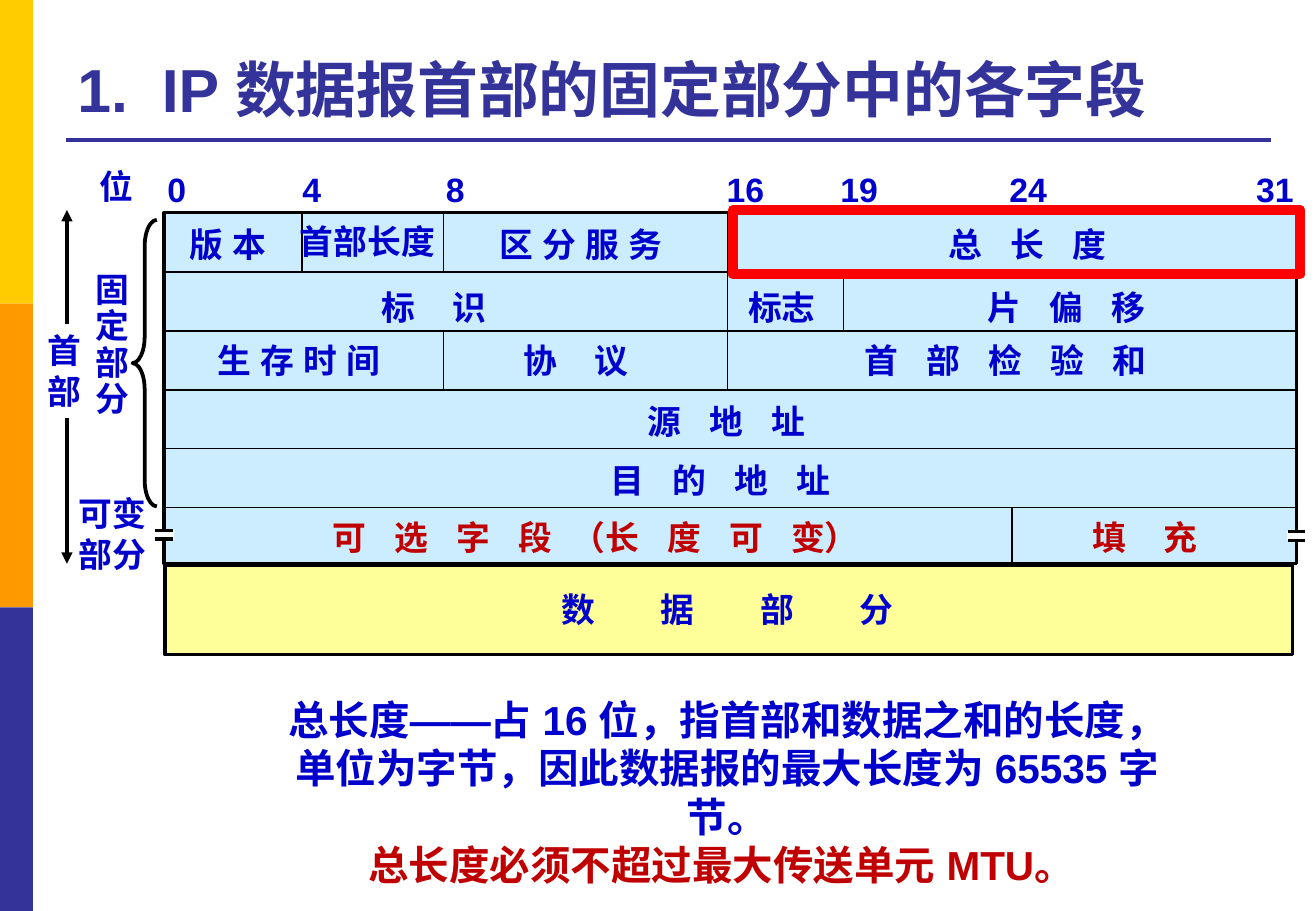
from dataclasses import dataclass

from lxml import etree
from pptx import Presentation
from pptx.dml.color import RGBColor
from pptx.enum.shapes import MSO_CONNECTOR, MSO_SHAPE
from pptx.enum.text import MSO_ANCHOR, PP_ALIGN
from pptx.oxml.ns import qn
from pptx.util import Cm, Pt

RECTANGLE = MSO_SHAPE.RECTANGLE
LEFT_BRACE = MSO_SHAPE.LEFT_BRACE
STRAIGHT = MSO_CONNECTOR.STRAIGHT
TOP, BOTTOM = MSO_ANCHOR.TOP, MSO_ANCHOR.BOTTOM
LEFT, CENTER = PP_ALIGN.LEFT, PP_ALIGN.CENTER

FONT = "Arial"
BLUE, RED, NAVY = "0000CC", "C00000", "333399"
BLACK, WHITE = "000000", "FFFFFF"
HEADER_TOP, ROW_HEIGHT = 4.46, 1.23
GAP, WIDE_GAP, DATA_GAP = 5.56, 8.34, 16.7


@dataclass
class Run:
    text: str
    color: str = BLUE
    spacing: float = 0


@dataclass
class Label:
    x: float
    y: float
    width: float
    height: float
    paragraphs: list[list[Run]]
    size: float = 20
    line_spacing: float = 1
    wrap: bool = False
    align: PP_ALIGN = LEFT
    anchor: MSO_ANCHOR = TOP


@dataclass
class Box:
    x: float
    y: float
    width: float
    height: float
    fill: str | None = None
    line: str | None = None
    weight: float = 0
    kind: MSO_SHAPE = RECTANGLE


@dataclass
class Line:
    x1: float
    y1: float
    x2: float
    y2: float
    weight: float = 1
    color: str = BLACK
    arrows: bool = False


def rgb(value: str) -> RGBColor:
    return RGBColor.from_string(value)


def row_edge(row: int) -> float:
    return round(HEADER_TOP + row * ROW_HEIGHT, 2)


def spread(text: str, spacing: float = 0, color: str = BLUE) -> list[Run]:
    if not spacing:
        return [Run(text, color)]
    return [Run(text[:-1], color, spacing), Run(text[-1], color)]


def field(x: float, y: float, width: float, runs: list[Run]) -> Label:
    return Label(x, y, width, 1.09, [runs])


def add_label(slide, label: Label) -> None:
    shape = slide.shapes.add_textbox(Cm(label.x), Cm(label.y), Cm(label.width), Cm(label.height))
    frame = shape.text_frame
    frame.word_wrap = label.wrap
    frame.vertical_anchor = label.anchor
    for index, runs in enumerate(label.paragraphs):
        paragraph = frame.add_paragraph() if index else frame.paragraphs[0]
        paragraph.alignment = label.align
        paragraph.line_spacing = label.line_spacing
        for item in runs:
            run = paragraph.add_run()
            run.text = item.text
            run.font.name = FONT
            run.font.size = Pt(label.size)
            run.font.bold = True
            run.font.color.rgb = rgb(item.color)
            properties = run.font._element
            etree.SubElement(properties, qn("a:ea"), typeface=FONT)
            if item.spacing:
                properties.set("spc", str(round(item.spacing * 100)))


def add_box(slide, box: Box):
    shape = slide.shapes.add_shape(box.kind, Cm(box.x), Cm(box.y), Cm(box.width), Cm(box.height))
    shape.shadow.inherit = False
    if box.fill:
        shape.fill.solid()
        shape.fill.fore_color.rgb = rgb(box.fill)
    else:
        shape.fill.background()
    if box.line:
        shape.line.color.rgb = rgb(box.line)
        shape.line.width = Pt(box.weight)
    else:
        shape.line.fill.background()
    return shape


def add_line(slide, line: Line) -> None:
    connector = slide.shapes.add_connector(STRAIGHT, Cm(line.x1), Cm(line.y1), Cm(line.x2), Cm(line.y2))
    connector.line.color.rgb = rgb(line.color)
    connector.line.width = Pt(line.weight)
    if line.arrows:
        outline = connector.line._get_or_add_ln()
        for end in ("a:headEnd", "a:tailEnd"):
            etree.SubElement(outline, qn(end), type="triangle")
    etree.SubElement(connector._element.spPr, qn("a:effectLst"))


def add_break_mark(slide, x: float, y: float) -> None:
    add_box(slide, Box(x, y, 0.41, 0.2, WHITE))
    for offset in (0.02, 0.2):
        add_line(slide, Line(x + 0.02, y + offset, x + 0.38, y + offset, 2))


BAND_COLORS = ["FFCC00", "FF9900", NAVY]
DIVIDERS = [(6.32, 0, 1), (9.27, 0, 1), (9.27, 2, 3), (15.21, 0, 3), (17.63, 1, 2), (21.16, 5, 6)]
BIT_POSITIONS = {"0": 3.25, "4": 6.07, "8": 9.07, "16": 14.94, "19": 17.32, "24": 20.85, "31": 26.01}
OPTIONS = [
    Run("可 选 字 段", RED, GAP),
    Run(" （", RED),
    Run("长 度 可 ", RED, GAP),
    Run("变）", RED),
]
FIELDS = [
    field(1.83, 3.35, 1.22, spread("位")),
    field(3.71, 4.55, 2.13, spread("版 本")),
    field(6.02, 4.5, 3.35, spread("首部长度")),
    field(10.19, 4.55, 3.96, spread("区 分 服 务")),
    field(19.58, 4.55, 3.84, spread("总 长 度", GAP)),
    field(7.72, 5.87, 2.72, spread("标 识", WIDE_GAP)),
    field(15.39, 5.87, 1.93, spread("标志")),
    field(20.4, 5.87, 3.84, spread("片 偏 移", GAP)),
    field(4.29, 6.99, 3.96, spread("生 存 时 间")),
    field(10.69, 6.99, 2.72, spread("协 议", WIDE_GAP)),
    field(17.83, 6.99, 6.45, spread("首 部 检 验 和", GAP)),
    field(13.28, 8.26, 3.84, spread("源 地 址", GAP)),
    field(12.52, 9.5, 5.13, spread("目 的 地 址", GAP)),
    field(6.71, 10.69, 11.58, OPTIONS),
    field(22.58, 10.69, 2.72, spread("填 充", WIDE_GAP, RED)),
    field(11.48, 12.19, 8.76, spread("数 据 部 分", DATA_GAP)),
]
FIXED_PART = Label(1.75, 5.59, 1.22, 3.33, [[Run(character)] for character in "固定部分"], line_spacing=0.9)
VARIABLE_PART = Label(1.4, 10.19, 1.93, 1.96, [[Run("可变")], [Run("部分")]])
HEADER_PART = Label(0.74, 6.78, 1.22, 1.96, [[Run("首")], [Run("部")]])
TITLE = Label(
    1.37, 0.53, 25.17, 2.21,
    [[Run("1.", NAVY), Run(" ", NAVY, 10), Run("IP 数据报首部的固定部分中的各字段", NAVY)]],
    size=36, wrap=True, anchor=BOTTOM,
)
EXPLANATION = Label(
    5.55, 14.4, 19.3, 4.4,
    [
        [Run("总长度——占 16 位，指首部和数据之和的长度，")],
        [Run("单位为字节，因此数据报的最大长度为 65535 字节。")],
        [Run("总长度必须不超过最大传送单元 MTU。 ", RED)],
    ],
    size=24, wrap=True, align=CENTER,
)


def main() -> None:
    presentation = Presentation()
    presentation.slide_width, presentation.slide_height = Cm(27.51), Cm(19.05)
    slide = presentation.slides.add_slide(presentation.slide_layouts[6])

    for index, color in enumerate(BAND_COLORS):
        add_box(slide, Box(0, index * 6.35, 0.69, 6.35, color))
    add_line(slide, Line(1.37, 2.92, 26.57, 2.92, 2.25, NAVY))
    add_label(slide, TITLE)

    add_box(slide, Box(3.43, 4.45, 23.67, 7.34, "CCECFF", BLACK, 2))
    add_box(slide, Box(3.45, 11.81, 23.57, 1.88, "FFFF99", BLACK, 2.25))
    for row in range(1, 6):
        add_line(slide, Line(3.4, row_edge(row), 27.13, row_edge(row)))
    for x, first, last in DIVIDERS:
        add_line(slide, Line(x, row_edge(first), x, row_edge(last)))
    for bit, x in BIT_POSITIONS.items():
        add_label(slide, field(x, 3.4, 0.52 + 0.39 * len(bit), spread(bit)))
    for label in FIELDS:
        add_label(slide, label)
    add_break_mark(slide, 3.23, 11.07)
    add_break_mark(slide, 26.9, 11.1)

    add_line(slide, Line(1.4, 4.39, 1.4, 11.79, 2.25, arrows=True))
    add_box(slide, Box(0.74, 6.78, 1.22, 1.96, WHITE))
    for label in (HEADER_PART, FIXED_PART, VARIABLE_PART):
        add_label(slide, label)
    brace = add_box(slide, Box(2.77, 4.6, 0.51, 5.99, None, BLACK, 2.25, LEFT_BRACE))
    brace.adjustments[0] = 1.08

    add_label(slide, EXPLANATION)
    add_box(slide, Box(15.32, 4.39, 11.86, 1.35, None, "FF0000", 6))
    presentation.save("out.pptx")


if __name__ == "__main__":
    main()
